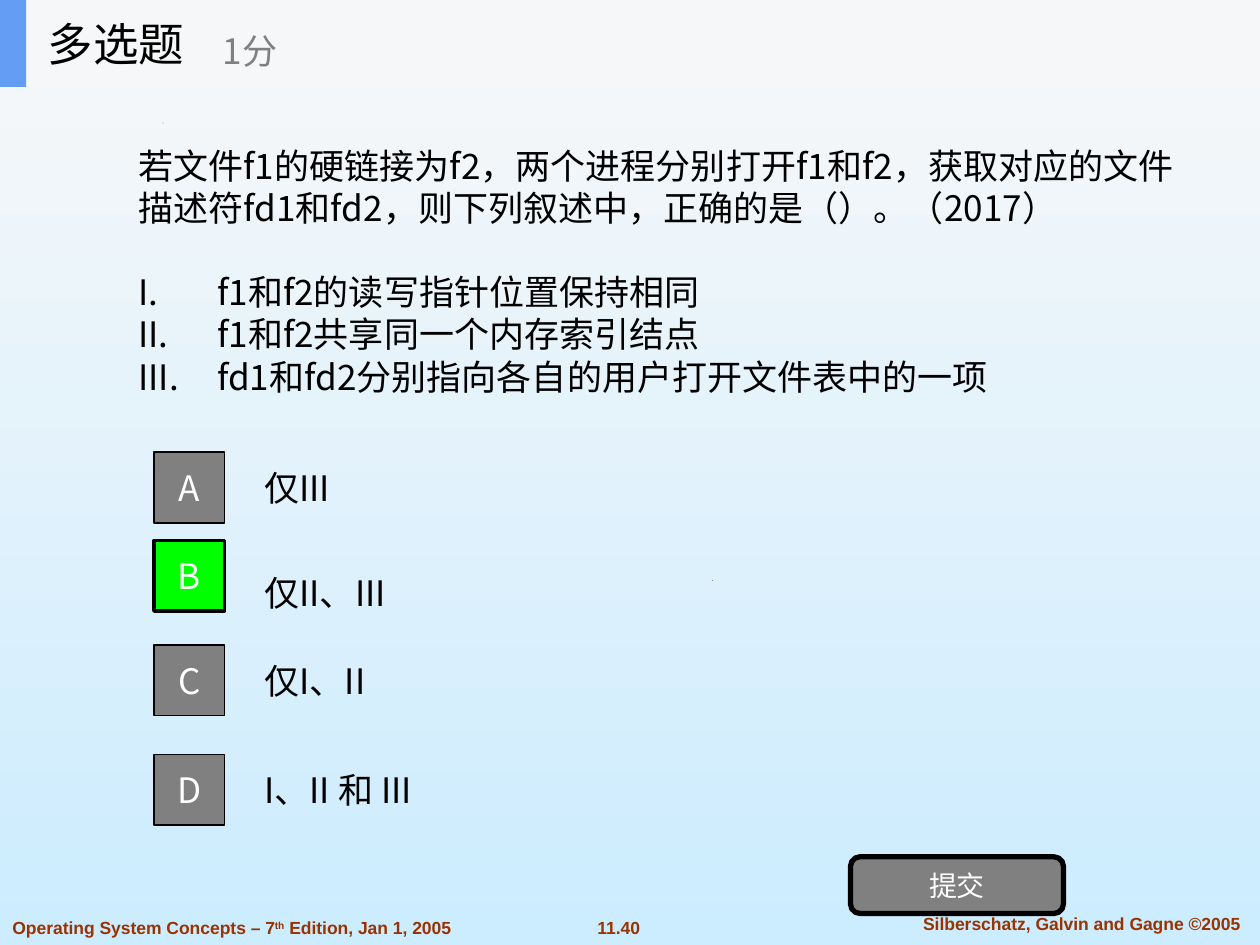
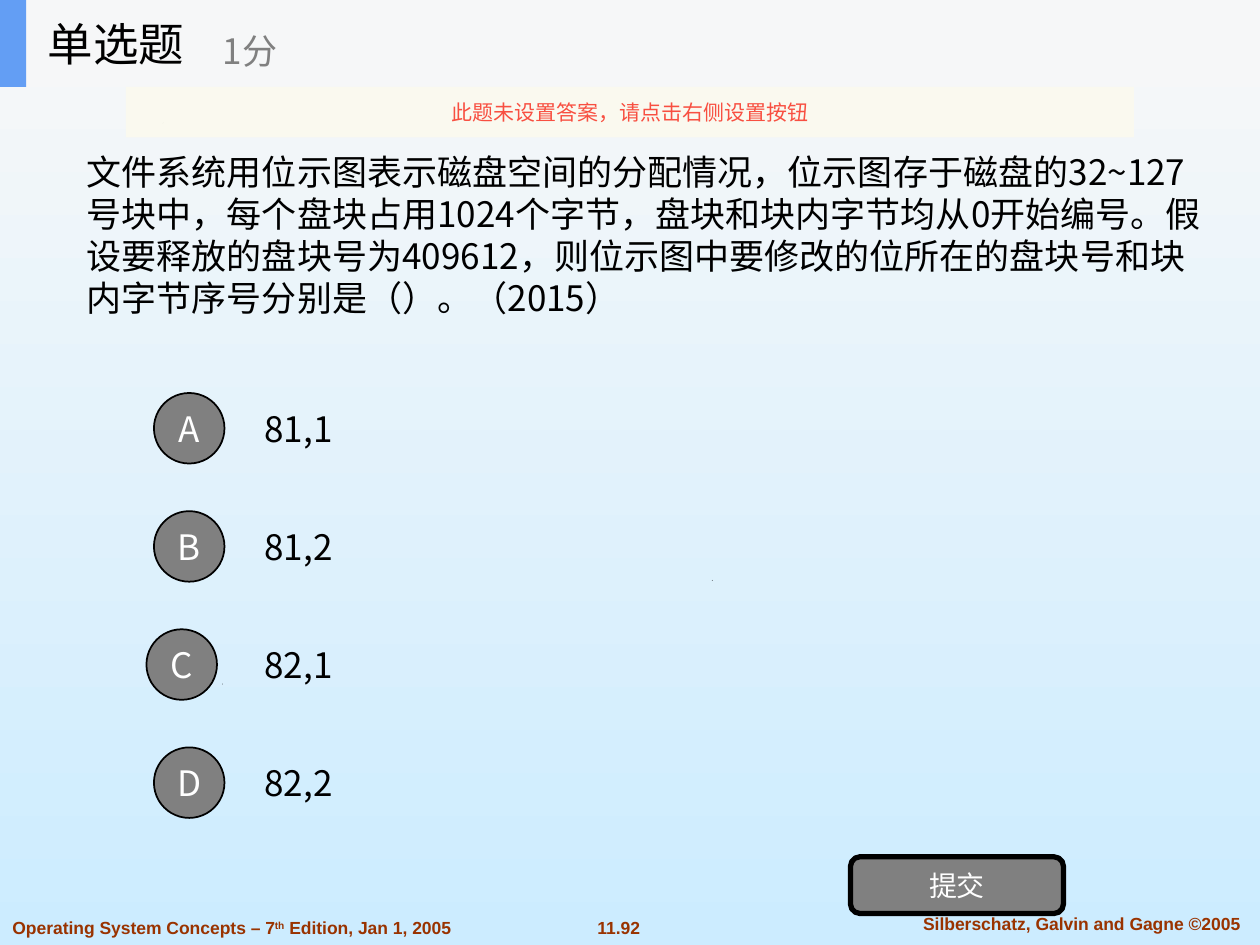
import collections

import lxml.etree
import pptx
import pptx.dml.color
import pptx.enum.shapes
import pptx.enum.text
import pptx.oxml.ns
import pptx.util

Pt = pptx.util.Pt
RGBColor = pptx.dml.color.RGBColor
SHAPE = pptx.enum.shapes.MSO_SHAPE
ALIGN = pptx.enum.text.PP_ALIGN
ANCHOR = pptx.enum.text.MSO_ANCHOR
Box = collections.namedtuple("Box", "left top width height")
Option = collections.namedtuple("Option", "text top shift_x shift_y chosen", defaults=(0, 0, False))

# Shared colours
SKY_TOP = RGBColor(0xF8, 0xF8, 0xF8)
SKY_BOTTOM = RGBColor(0xCC, 0xEC, 0xFF)
BAND = RGBColor(0xF6, 0xF7, 0xF8)
ACCENT = RGBColor(0x63, 0x9E, 0xF4)
BLACK = RGBColor(0, 0, 0)
WHITE = RGBColor(0xFF, 0xFF, 0xFF)
GREY = RGBColor(0x80, 0x80, 0x80)
GREEN = RGBColor(0, 0xFF, 0)
RUST = RGBColor(0x99, 0x33, 0)
CREAM = RGBColor(0xFB, 0xFA, 0xEF)
RED = RGBColor(0xF8, 0x4F, 0x41)

# Shared text formats
CJK = "Noto Sans CJK SC"
LINE_FACTOR = 1.2
TITLE = {"name": CJK, "size": Pt(26), "color": BLACK}
SCORE = {"name": CJK, "size": Pt(20), "color": GREY}
BODY = {"name": CJK, "size": Pt(20), "color": BLACK}
BADGE = {"name": CJK, "size": Pt(20), "color": WHITE}
BUTTON = {"name": CJK, "size": Pt(16), "color": WHITE}
NOTICE = {"name": CJK, "size": Pt(12), "color": RED}
FOOTER = {"name": "Arial", "size": Pt(10), "color": RUST, "bold": True}

# Shared regions, in points
PAGE = Box(0, 0, 720, 540)
HEADER = Box(0, 0, 720, 49.7)
SUBMIT = Box(486, 489.6, 121.7, 32.4)
OPTION_LEFT = 88
BADGE_SIZE = 40.3
OPTION_HEIGHT = 50.4


def points(box):
    return [Pt(value) for value in box]


def add_run(paragraph, text, text_format, baseline=None):
    run = paragraph.add_run()
    run.text = text
    for name, value in text_format.items():
        if name == "color":
            run.font.color.rgb = value
        else:
            setattr(run.font, name, value)
    properties = run.font._element
    east_asian = lxml.etree.SubElement(properties, pptx.oxml.ns.qn("a:ea"))
    east_asian.set("typeface", text_format["name"])
    if baseline:
        properties.set("baseline", str(baseline))


def write(shape, text, text_format, align=ALIGN.LEFT, anchor=ANCHOR.MIDDLE, wrap=True):
    frame = shape.text_frame
    frame.word_wrap = wrap
    frame.vertical_anchor = anchor
    for index, line in enumerate([text] if isinstance(text, str) else text):
        paragraph = frame.add_paragraph() if index else frame.paragraphs[0]
        paragraph.alignment = align
        if text_format["name"] == CJK:
            paragraph.line_spacing = Pt(text_format["size"].pt * LINE_FACTOR)
        add_run(paragraph, line, text_format)
    return frame


def add_text(shapes, box, text, text_format, **layout):
    return write(shapes.add_textbox(*points(box)), text, text_format, **layout)


def add_panel(shapes, kind, box, fill, line_width=0):
    shape = shapes.add_shape(kind, *points(box))
    shape.shadow.inherit = False
    shape.fill.solid()
    shape.fill.fore_color.rgb = fill
    if line_width:
        shape.line.color.rgb = BLACK
        shape.line.width = Pt(line_width)
    else:
        shape.line.fill.background()
    return shape


def paint_background(master):
    fill = master.background.fill
    fill.gradient()
    fill.gradient_angle = 270
    for stop, position, color in zip(fill.gradient_stops, (0, 1), (SKY_TOP, SKY_BOTTOM)):
        stop.position = position
        stop.color.rgb = color


def add_specks(shapes):
    for left, top in ((126.9, 390.6), (406.8, 331.4), (92.9, 70)):
        builder = shapes.build_freeform(Pt(left), Pt(top + 0.5))
        builder.add_line_segments([(Pt(left + 0.5), Pt(top)), (Pt(left + 0.3), Pt(top + 0.5))])
        speck = builder.convert_to_shape()
        speck.shadow.inherit = False
        speck.fill.solid()
        speck.fill.fore_color.rgb = BLACK
        speck.line.fill.background()


def add_footer(shapes, box, page_number):
    height = 19.4
    top = box.top + box.height - height
    add_text(shapes, Box(box.left + 333.4, top, 40.3, height), page_number, FOOTER,
             align=ALIGN.CENTER, anchor=ANCHOR.TOP, wrap=False)
    add_text(shapes, Box(box.left + 511.2, top - 2.2, 213.8, height),
             "Silberschatz, Galvin and Gagne ©2005", FOOTER,
             align=ALIGN.CENTER, anchor=ANCHOR.TOP)
    frame = add_text(shapes, Box(box.left, top, 265.7, height),
                     "Operating System Concepts – 7", FOOTER, anchor=ANCHOR.TOP)
    add_run(frame.paragraphs[0], "th", FOOTER, baseline=30000)
    add_run(frame.paragraphs[0], " Edition, Jan 1, 2005", FOOTER)


def add_header(shapes, box, title):
    group = shapes.add_group_shape().shapes
    add_panel(group, SHAPE.RECTANGLE, box, BAND)
    add_panel(group, SHAPE.RECTANGLE, box._replace(width=15), ACCENT)
    add_text(group, Box(box.left + 20.2, box.top, 149.8, box.height), title, TITLE)
    add_text(group, Box(box.left + 120.2, box.top + 8.6, 180, 40.3), "1分", SCORE)


def add_question(shapes, box, question, statements=()):
    frame = add_text(shapes, box, [question, *statements], BODY)
    # Roman numerals with a hanging indent
    for index, paragraph in enumerate(frame.paragraphs[1:]):
        if index == 0:
            paragraph.space_before = Pt(24)
        properties = paragraph._p.get_or_add_pPr()
        properties.set("marL", str(Pt(45)))
        properties.set("indent", str(-Pt(45)))
        numbering = lxml.etree.SubElement(properties, pptx.oxml.ns.qn("a:buAutoNum"))
        numbering.set("type", "romanUcPeriod")


def add_option(shapes, box, letter, option, badge_kind):
    badge = Box(box.left + option.shift_x, box.top + 5 + option.shift_y, BADGE_SIZE, BADGE_SIZE)
    fill, line_width = (GREEN, 2) if option.chosen else (GREY, 1)
    write(add_panel(shapes, badge_kind, badge, fill, line_width), letter, BADGE,
          align=ALIGN.CENTER, wrap=False)
    add_text(shapes, Box(box.left + 56, box.top, box.width - 56, box.height), option.text, BODY)


def add_submit(shapes, box):
    button = add_panel(shapes, SHAPE.ROUNDED_RECTANGLE, box, GREY, 3)
    write(button, "提交", BUTTON, align=ALIGN.CENTER, wrap=False)


def add_notice(shapes, box, text):
    notice = add_panel(shapes, SHAPE.RECTANGLE, box, CREAM)
    color = notice.fill._xPr.find(".//" + pptx.oxml.ns.qn("a:srgbClr"))
    lxml.etree.SubElement(color, pptx.oxml.ns.qn("a:alpha")).set("val", "90000")
    write(notice, text, NOTICE, align=ALIGN.CENTER, wrap=False)


def add_quiz_slide(presentation, title, page_number, question_box, question,
                   options, option_width, badge_kind, statements=()):
    shapes = presentation.slides.add_slide(presentation.slide_layouts[6]).shapes
    add_specks(shapes)
    add_footer(shapes, PAGE, page_number)
    add_question(shapes, question_box, question, statements)
    for letter, option in zip("ABCD", options):
        box = Box(OPTION_LEFT, option.top, option_width, OPTION_HEIGHT)
        add_option(shapes, box, letter, option, badge_kind)
    add_submit(shapes, SUBMIT)
    add_header(shapes, HEADER, title)
    return shapes


def main():
    presentation = pptx.Presentation()
    presentation.slide_width = Pt(PAGE.width)
    presentation.slide_height = Pt(PAGE.height)
    paint_background(presentation.slide_master)

    # Multiple choice: hard links
    add_quiz_slide(
        presentation, "多选题", "11.40", Box(72, 70.6, 612.7, 168.5),
        "若文件f1的硬链接为f2，两个进程分别打开f1和f2，获取对应的文件描述符fd1和fd2，"
        "则下列叙述中，正确的是（）。（2017）",
        [Option("仅III", 253.4),
         Option("仅II、III", 313.2, shift_y=-9.3, chosen=True),
         Option("仅I、II", 363.6),
         Option("I、II 和 III", 426.2)],
        300, SHAPE.RECTANGLE,
        ["f1和f2的读写指针位置保持相同",
         "f1和f2共享同一个内存索引结点",
         "fd1和fd2分别指向各自的用户打开文件表中的一项"])

    # Single choice: disk bitmap
    answers = ["81,1", "81,2", "82,1", "82,2"]
    shapes = add_quiz_slide(
        presentation, "单选题", "11.92", Box(42.5, 49.7, 652.3, 168.5),
        "文件系统用位示图表示磁盘空间的分配情况，位示图存于磁盘的32~127号块中，"
        "每个盘块占用1024个字节，盘块和块内字节均从0开始编号。"
        "假设要释放的盘块号为409612，则位示图中要修改的位所在的盘块号和"
        "块内字节序号分别是（）。（2015）",
        [Option(answer, 219.6 + 67.5 * row, shift_x=-4.3 if row == 2 else 0)
         for row, answer in enumerate(answers)],
        162, SHAPE.OVAL)
    add_notice(shapes, Box(72, HEADER.height, 576, 28.8), "此题未设置答案，请点击右侧设置按钮")

    presentation.save("out.pptx")


if __name__ == "__main__":
    main()
